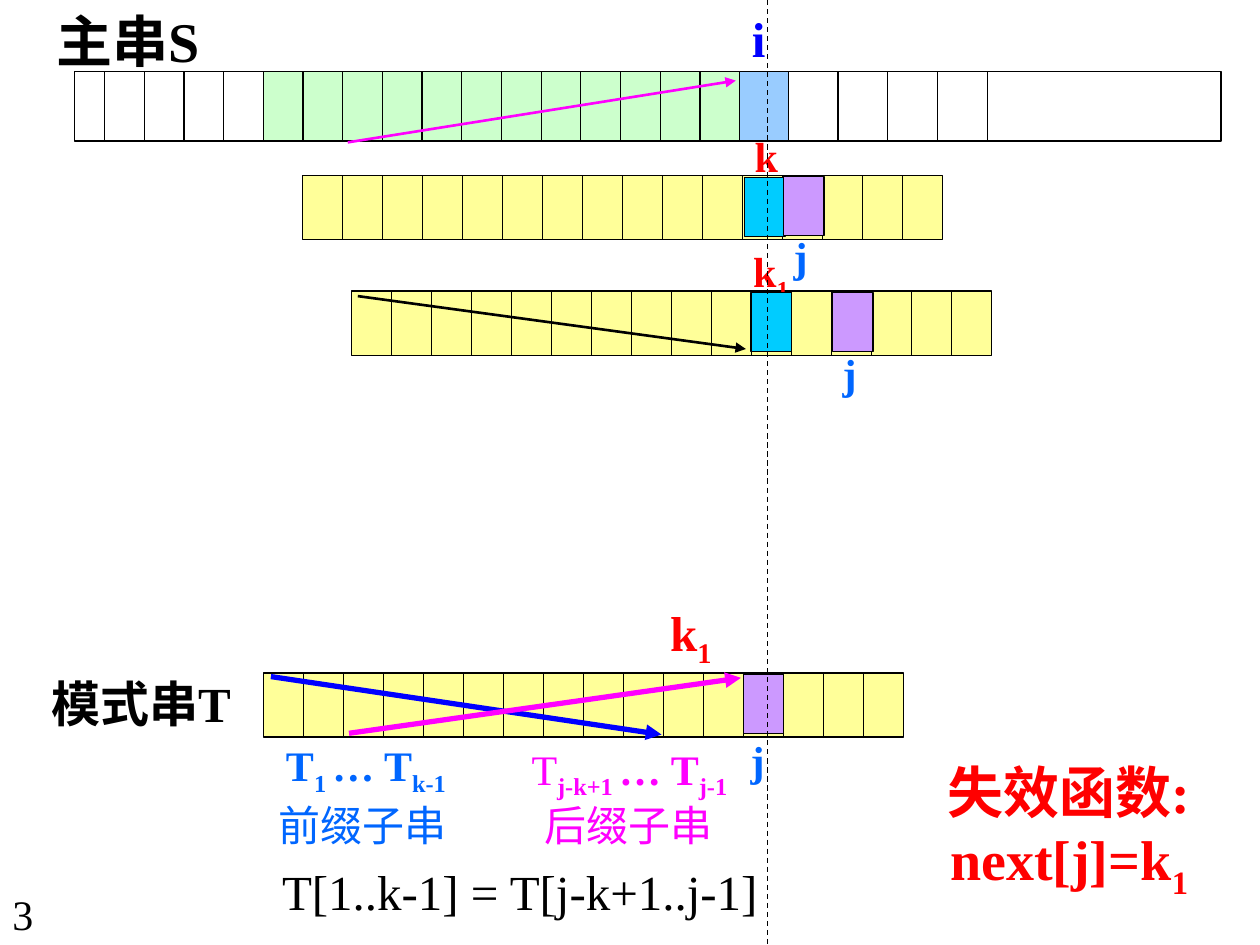
from dataclasses import dataclass

from lxml import etree
from pptx import Presentation
from pptx import util as u
from pptx.dml.color import RGBColor
from pptx.enum import dml, shapes, text
from pptx.oxml import ns

BLACK = RGBColor(0x00, 0x00, 0x00)
RED = RGBColor(0xFF, 0x00, 0x00)
BLUE = RGBColor(0x00, 0x00, 0xFF)
SKY = RGBColor(0x00, 0x66, 0xFF)
MAGENTA = RGBColor(0xFF, 0x00, 0xFF)
YELLOW = RGBColor(0xFF, 0xFF, 0x99)
GREEN = RGBColor(0xCC, 0xFF, 0xCC)
CYAN = RGBColor(0x00, 0xCC, 0xFF)
PURPLE = RGBColor(0xCC, 0x99, 0xFF)
PALE_BLUE = RGBColor(0x99, 0xCC, 0xFF)

SERIF = "Times New Roman"
SANS = "Noto Sans CJK SC"

CELL_COUNT = 16
STRIP_WIDTH, STRIP_HEIGHT = 5.08, 0.51
MARK_WIDTH, MARK_HEIGHT = 0.32, 0.47
MAIN_TOP, MAIN_HEIGHT = 0.57, 0.55


@dataclass
class Label:
    """Each line is a tuple of pieces; every second piece is a subscript."""
    left: float
    top: float
    width: float
    height: float
    lines: list[tuple[str, ...]]
    size: int
    color: RGBColor
    bold: bool = True
    light_start: bool = False
    font: str = SERIF
    centered: bool = False
    inset: float = 0.1


@dataclass
class Mark:
    left: float
    top: float
    color: RGBColor
    label: Label


@dataclass
class Strip:
    left: float
    top: float
    marks: list[Mark]


@dataclass
class Arrow:
    start: tuple[float, float]
    end: tuple[float, float]
    color: RGBColor
    weight: float


def tag(left: float, top: float, color: RGBColor, *pieces: str,
        size: int = 24) -> Label:
    return Label(left, top, 0.74, 0.57 if size == 28 else 0.5,
                 [pieces], size, color)


STRIPS = [
    Strip(2.79, 2.31, [
        Mark(5.96, 2.32, CYAN, tag(5.88, 1.9, RED, "k", "1")),
        Mark(6.61, 2.32, PURPLE, tag(6.59, 2.71, SKY, "j"))]),
    Strip(2.4, 1.39, [
        Mark(5.91, 1.41, CYAN, tag(5.89, 0.99, RED, "k")),
        Mark(6.22, 1.4, PURPLE, tag(6.2, 1.78, SKY, "j"))]),
    Strip(2.09, 5.34, [
        Mark(5.9, 5.35, PURPLE, tag(5.86, 5.78, SKY, "j"))]),
]

LABELS = [
    tag(5.87, 0.02, BLUE, "i", size=28),
    tag(5.22, 4.73, RED, "k", "1", size=28),
    Label(0.35, 0, 1.89, 0.63, [("主串S",)], 32, BLACK),
    Label(0.31, 5.3, 1.89, 0.57, [("模式串T",)], 28, BLACK),
    Label(2.09, 5.82, 1.73, 0.5, [("T", "1 ", "… T", "k-1")], 24, SKY,
          inset=0.18),
    Label(4.12, 5.85, 2.01, 0.5, [("T", "j-k+1 ", "… T", "j-1")], 24,
          MAGENTA, light_start=True),
    Label(2.03, 6.3, 1.73, 0.5, [("前缀子串",)], 24, SKY, bold=False,
          font=SANS, inset=0.18),
    Label(4.14, 6.3, 1.73, 0.5, [("后缀子串",)], 24, MAGENTA, bold=False,
          font=SANS, inset=0.18),
    Label(0, 7, 0.55, 0.5, [("3",)], 24, BLACK, bold=False),
    Label(2.14, 6.79, 4.57, 0.57, [("T[1..k-1] = T[j-k+1..j-1]",)], 28,
          BLACK, bold=False),
    Label(7.05, 5.96, 2.87, 1.18, [("失效函数:",), ("next[j]=k", "1")], 32,
          RED, centered=True),
]

ARROWS = [
    Arrow((2.84, 2.35), (5.92, 2.77), BLACK, 1.5),
    Arrow((2.76, 1.13), (5.84, 0.64), MAGENTA, 1.5),
    Arrow((2.15, 5.37), (5.25, 5.83), BLUE, 3),
    Arrow((2.77, 5.82), (5.88, 5.38), MAGENTA, 3),
]


def draw_rect(page, left: float, top: float, width: float, height: float,
              color: RGBColor | None) -> None:
    rect = page.shapes.add_shape(
        shapes.MSO_SHAPE.RECTANGLE, u.Inches(left), u.Inches(top),
        u.Inches(width), u.Inches(height))
    rect.shadow.inherit = False
    if color is None:
        rect.fill.background()
    else:
        rect.fill.solid()
        rect.fill.fore_color.rgb = color
    rect.line.color.rgb = BLACK
    rect.line.width = u.Pt(0.75)


def draw_line(page, start: tuple[float, float], end: tuple[float, float],
              color: RGBColor = BLACK, weight: float = 0.75):
    line = page.shapes.add_connector(
        shapes.MSO_CONNECTOR.STRAIGHT, u.Inches(start[0]),
        u.Inches(start[1]), u.Inches(end[0]), u.Inches(end[1]))
    line.line.color.rgb = color
    line.line.width = u.Pt(weight)
    etree.SubElement(line._element.spPr, ns.qn("a:effectLst"))
    return line


def draw_arrow(page, arrow: Arrow) -> None:
    line = draw_line(page, arrow.start, arrow.end, arrow.color, arrow.weight)
    etree.SubElement(line.line._get_or_add_ln(), ns.qn("a:tailEnd"),
                     type="triangle")


def draw_dividers(page, left: float, step: float, count: int,
                  top: float, height: float) -> None:
    for index in range(count):
        x = left + index * step
        draw_line(page, (x, top), (x, top + height))


def draw_label(page, label: Label) -> None:
    box = page.shapes.add_textbox(
        u.Inches(label.left), u.Inches(label.top),
        u.Inches(label.width), u.Inches(label.height))
    frame = box.text_frame
    frame.word_wrap = True
    frame.margin_left = u.Inches(label.inset)
    for number, pieces in enumerate(label.lines):
        para = frame.add_paragraph() if number else frame.paragraphs[0]
        if label.centered:
            para.alignment = text.PP_ALIGN.CENTER
        font = para.font
        font.name, font.size, font.bold = label.font, u.Pt(label.size), label.bold
        font.color.rgb = label.color
        etree.SubElement(font._element, ns.qn("a:ea"), typeface=SANS)
        for index, piece in enumerate(pieces):
            span = para.add_run()
            span.text = piece
            if index % 2:
                span._r.get_or_add_rPr().set("baseline", "-25000")
    if label.light_start:
        frame.paragraphs[0].runs[0].font.bold = False


def draw_strip(page, strip: Strip) -> None:
    draw_rect(page, strip.left, strip.top, STRIP_WIDTH, STRIP_HEIGHT, YELLOW)
    draw_dividers(page, strip.left, STRIP_WIDTH / CELL_COUNT, CELL_COUNT,
                  strip.top, STRIP_HEIGHT)
    for mark in strip.marks:
        draw_label(page, mark.label)
        draw_rect(page, mark.left, mark.top, MARK_WIDTH, MARK_HEIGHT,
                  mark.color)


def main() -> None:
    deck = Presentation()
    deck.slide_width, deck.slide_height = u.Inches(10), u.Inches(7.5)
    page = deck.slides.add_slide(deck.slide_layouts[6])

    # Pattern strips with their marked cells
    for strip in STRIPS:
        draw_strip(page, strip)

    # Main string: matched part, frame, dividers and current cell
    draw_rect(page, 2.09, MAIN_TOP, 3.78, MAIN_HEIGHT, GREEN)
    draw_rect(page, 0.59, MAIN_TOP, 9.1, MAIN_HEIGHT, None)
    draw_dividers(page, 0.83, 0.315, 16, MAIN_TOP, MAIN_HEIGHT)
    draw_rect(page, 5.87, MAIN_TOP, 0.39, MAIN_HEIGHT, PALE_BLUE)
    draw_dividers(page, 6.65, 0.395, 4, MAIN_TOP, MAIN_HEIGHT)

    # Text, alignment guide and arrows
    for label in LABELS:
        draw_label(page, label)
    guide = draw_line(page, (6.09, 0), (6.09, 7.5))
    guide.line.dash_style = dml.MSO_LINE.DASH
    for arrow in ARROWS:
        draw_arrow(page, arrow)

    deck.save("out.pptx")


if __name__ == "__main__":
    main()
